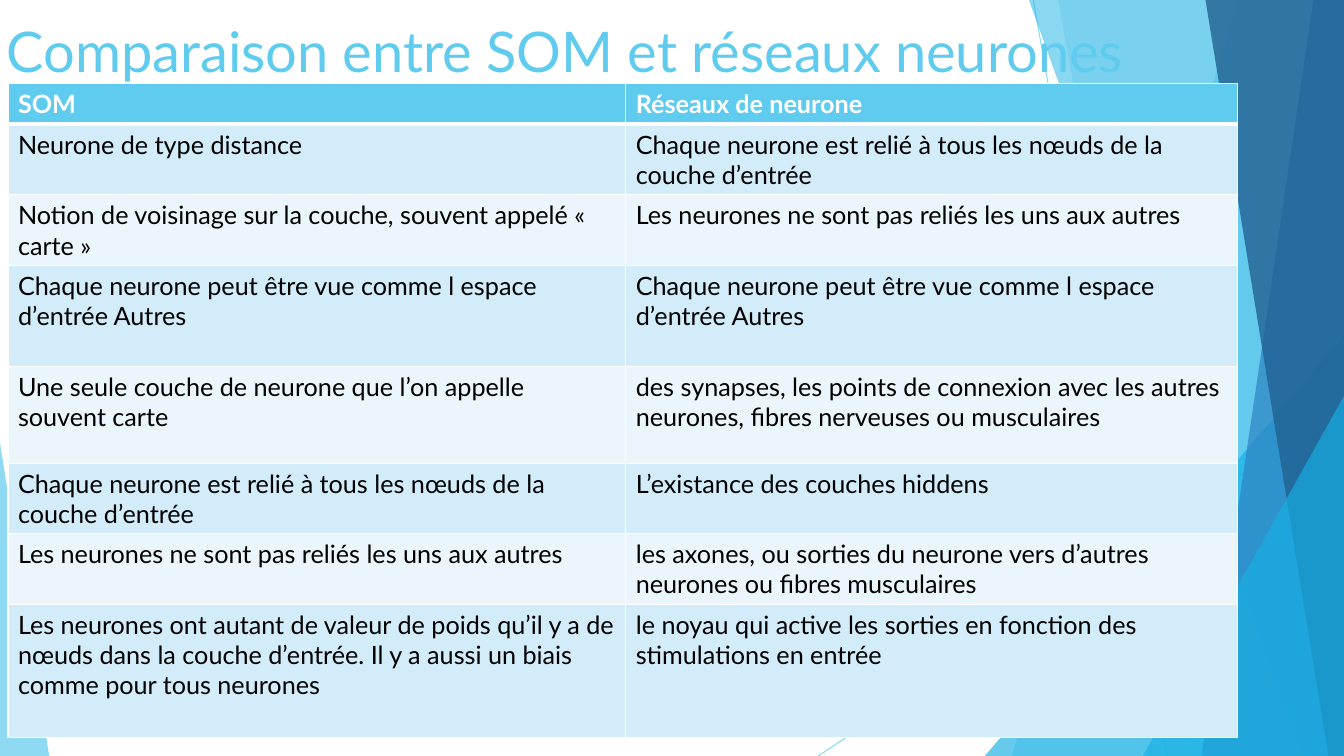
from dataclasses import dataclass

from lxml.etree import SubElement
from pptx import Presentation
from pptx.dml.color import RGBColor
from pptx.enum.shapes import MSO_CONNECTOR, MSO_SHAPE
from pptx.enum.text import MSO_ANCHOR, MSO_AUTO_SIZE, PP_ALIGN
from pptx.oxml import parse_xml
from pptx.oxml.ns import nsdecls, qn
from pptx.util import Cm, Pt


@dataclass(frozen=True)
class Theme:
    font: str = "Lato"
    title_size: int = 40
    table_size: int = 18
    sky: str = "5FCBEF"
    cyan: str = "17B0E4"
    blue: str = "2E83C3"
    navy: str = "226292"
    row_dark: str = "D2ECF9"
    row_light: str = "EAF6FC"
    white: str = "FFFFFF"
    black: str = "000000"


theme = Theme()


def paint(fill, colour, opacity):
    """Solid fill with an opacity in percent."""
    fill.solid()
    fill.fore_color.rgb = RGBColor.from_string(colour)
    colour_xml = fill._xPr.find(".//" + qn("a:srgbClr"))
    SubElement(colour_xml, qn("a:alpha"), val=str(opacity * 1000))


def style_text(paragraph, size, colour, bold=False):
    for run in paragraph.runs:
        run.font.name = theme.font
        run.font.size = Pt(size)
        run.font.bold = bold
        run.font.color.rgb = RGBColor.from_string(colour)


deck = Presentation()
deck.slide_width, deck.slide_height = Cm(33.87), Cm(19.05)
slide = deck.slides.add_slide(deck.slide_layouts[5])
shapes = slide.shapes

# Thin rays behind the panes
for x1, y1, x2, y2 in [(26.04, 0, 29.41, 19.05), (33.87, 10.24, 20.62, 19.05)]:
    ray = shapes.add_connector(MSO_CONNECTOR.STRAIGHT, Cm(x1), Cm(y1), Cm(x2), Cm(y2))
    ray.line.width = Pt(0.75)
    paint(ray.line.fill, theme.sky, 70)
    SubElement(ray.element.spPr, qn("a:effectLst"))

# Translucent panes, back to front
# band: x of the left edge at top and bottom, reaching the right slide edge
# triangle: left, top, width, apex position; standing on the bottom slide edge
panes = [
    ("band", (31.19, 25.5), theme.sky, 36),
    ("band", (26.67, 30.05), theme.sky, 20),
    ("triangle", (24.82, 8.46, 9.05, 1), theme.cyan, 66),
    ("band", (25.93, 32.79), theme.cyan, 50),
    ("band", (33.1, 30.28), theme.blue, 70),
    ("band", (30.38, 33.48), theme.navy, 80),
    ("triangle", (28.8, 9.98, 5.07, 1), theme.cyan, 66),
    ("triangle", (0, 11.15, 1.24, 0), theme.sky, 70),
]
right, bottom = deck.slide_width, deck.slide_height
for kind, geometry, colour, opacity in panes:
    if kind == "band":
        top_x, bottom_x = geometry
        outline = shapes.build_freeform(Cm(top_x), 0)
        outline.add_line_segments([(right, 0), (right, bottom), (Cm(bottom_x), bottom)])
        pane = outline.convert_to_shape()
    else:
        left, top, width, apex = geometry
        pane = shapes.add_shape(MSO_SHAPE.ISOSCELES_TRIANGLE, Cm(left), Cm(top),
                                Cm(width), bottom - Cm(top))
        pane.adjustments[0] = apex
    paint(pane.fill, colour, opacity)
    pane.line.fill.background()
    pane.shadow.inherit = False

# Title, brought in front of the panes
title = shapes.title
title.left, title.top, title.width, title.height = Cm(-3.53), Cm(0.3), Cm(35.53), Cm(1.8)
title.text_frame.text = "Comparaison entre SOM et réseaux neurones"
title.text_frame.auto_size = MSO_AUTO_SIZE.NONE
title.text_frame.vertical_anchor = MSO_ANCHOR.TOP
heading = title.text_frame.paragraphs[0]
heading.alignment = PP_ALIGN.CENTER
style_text(heading, theme.title_size, theme.sky)
title.element.getparent().append(title.element)

# Comparison table
comparison = [
    ("SOM", "Réseaux de neurone"),
    ("Neurone de type distance",
     "Chaque neurone est relié à tous les nœuds de la couche d’entrée"),
    ("Notion de voisinage sur la couche, souvent appelé « carte »",
     "Les neurones ne sont pas reliés les uns aux autres"),
    ("Chaque neurone peut être vue comme l espace d’entrée Autres",
     "Chaque neurone peut être vue comme l espace d’entrée Autres"),
    ("Une seule couche de neurone que l’on appelle souvent carte",
     "des synapses, les points de connexion avec les autres neurones, "
     "fibres nerveuses ou musculaires"),
    ("Chaque neurone est relié à tous les nœuds de la couche d’entrée",
     "L’existance des couches hiddens"),
    ("Les neurones ne sont pas reliés les uns aux autres",
     "les axones, ou sorties du neurone vers d’autres neurones ou fibres musculaires"),
    ("Les neurones ont autant de valeur de poids qu’il y a de nœuds dans la couche "
     "d’entrée. Il y a aussi un biais comme pour tous neurones",
     "le noyau qui active les sorties en fonction des stimulations en entrée"),
]
column_widths = [15.57, 15.42]
row_heights = [1.02, 1.78, 1.78, 2.54, 2.44, 1.78, 1.78, 3.35]
table = shapes.add_table(len(comparison), 2, Cm(0.2), Cm(2.11),
                         Cm(sum(column_widths)), Cm(sum(row_heights))).table
for column, width in zip(table.columns, column_widths):
    column.width = Cm(width)

for r, (texts, height) in enumerate(zip(comparison, row_heights)):
    table.rows[r].height = Cm(height)
    header = r == 0
    row_fill = theme.sky if header else theme.row_dark if r % 2 else theme.row_light
    borders = {"lnL": 1, "lnR": 1, "lnT": 3 if r == 1 else 1, "lnB": 3 if header else 1}
    for c, text in enumerate(texts):
        cell = table.cell(r, c)
        cell.text_frame.text = text
        style_text(cell.text_frame.paragraphs[0], theme.table_size,
                   theme.white if header else theme.black, bold=header)
        cell.fill.solid()
        cell.fill.fore_color.rgb = RGBColor.from_string(row_fill)
        # Borders come before the fill in the cell properties
        properties = cell.fill._xPr
        for position, (side, points) in enumerate(borders.items()):
            properties.insert(position, parse_xml(
                f'<a:{side} {nsdecls("a")} w="{Pt(points)}"><a:solidFill>'
                f'<a:srgbClr val="{theme.white}"/></a:solidFill></a:{side}>'))

deck.save("out.pptx")
